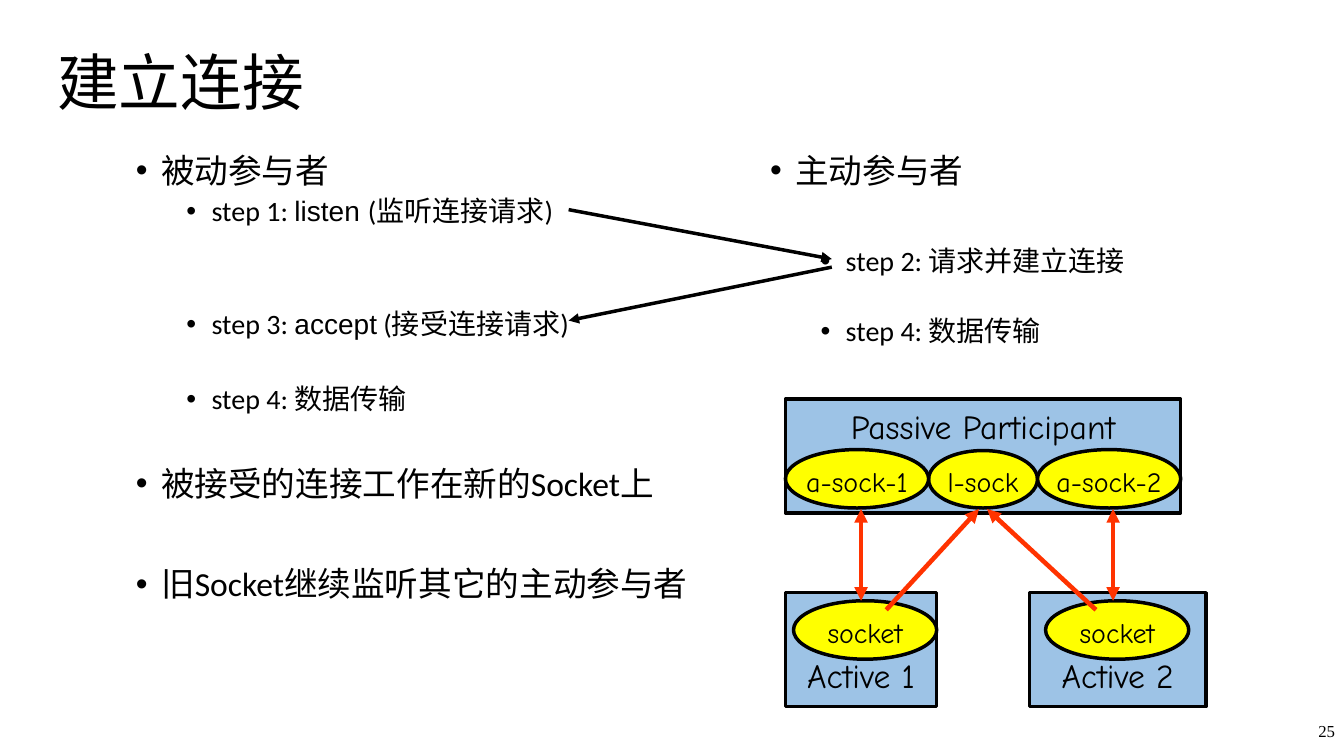
from lxml import etree
from pptx import Presentation
from pptx.dml.color import RGBColor
from pptx.enum.shapes import MSO_CONNECTOR, MSO_SHAPE
from pptx.enum.text import MSO_ANCHOR, PP_ALIGN
from pptx.oxml.ns import qn
from pptx.util import Inches, Pt

RECTANGLE, OVAL = MSO_SHAPE.RECTANGLE, MSO_SHAPE.OVAL
STRAIGHT = MSO_CONNECTOR.STRAIGHT
TOP, MIDDLE = MSO_ANCHOR.TOP, MSO_ANCHOR.MIDDLE
LEFT, CENTER, RIGHT = PP_ALIGN.LEFT, PP_ALIGN.CENTER, PP_ALIGN.RIGHT

THEME = {
    "ink": RGBColor(0x00, 0x00, 0x00),
    "host": RGBColor(0x9D, 0xC3, 0xE6),
    "socket": RGBColor(0xFF, 0xFF, 0x00),
    "link": RGBColor(0xFF, 0x33, 0x00),
    "body": "Calibri",
    "code": "Arial",
    "diagram": "Comic Neue",
    "number": "Times New Roman",
    "title_size": 44,
    "topic_size": 24,
    "step_size": 20,
    "number_size": 12,
}


def write(paragraph, text, font=THEME["body"], size=THEME["topic_size"], align=LEFT,
          spacing=None, before=0, bullet_indent=None, code=None):
    if bullet_indent is not None:
        properties = paragraph._p.get_or_add_pPr()
        properties.set("marL", str(Inches(bullet_indent)))
        properties.set("indent", str(Inches(-0.25)))
        etree.SubElement(properties, qn("a:buFont")).set("typeface", "Arial")
        etree.SubElement(properties, qn("a:buChar")).set("char", "•")
    paragraph.alignment = align
    paragraph.line_spacing = spacing
    paragraph.space_before = Pt(before)
    lead, word, rest = text.partition(code) if code else (text, "", "")
    for part, face in ((lead, font), (word, THEME["code"]), (rest, font)):
        if part:
            run = paragraph.add_run()
            run.text = part
            run.font.name = face
            run.font.size = Pt(size)
            run.font.color.rgb = THEME["ink"]


def draw_arrow(start, end, color, width, ends=("tailEnd",)):
    arrow = slide.shapes.add_connector(STRAIGHT, *map(Inches, start + end))
    arrow.line.color.rgb = color
    arrow.line.width = Pt(width)
    line = arrow.line._get_or_add_ln()
    for tip in ends:
        etree.SubElement(line, qn(f"a:{tip}")).set("type", "triangle")
    etree.SubElement(arrow._element.spPr, qn("a:effectLst"))


deck = Presentation()
deck.slide_width, deck.slide_height = Inches(13.33), Inches(7.5)
slide = deck.slides.add_slide(deck.slide_layouts[6])

captions = [
    ((0.47, 0.12, 11.5, 1.45), "建立连接",
     {"size": THEME["title_size"], "spacing": 0.9}),
    ((12.67, 7, 0.67, 0.5), "25",
     {"size": THEME["number_size"], "font": THEME["number"], "align": RIGHT}),
]
for place, text, style in captions:
    caption = slide.shapes.add_textbox(*map(Inches, place)).text_frame
    caption.word_wrap = True
    caption.vertical_anchor = MIDDLE
    write(caption.paragraphs[0], text, **style)

topic = {"size": THEME["topic_size"], "bullet_indent": 0.25, "spacing": 0.9}
step = {"size": THEME["step_size"], "bullet_indent": 0.75, "spacing": 0.9}
participants = [
    ((1.25, 1.48, 6.12, 5.33), [
        ("被动参与者", topic, 0, None),
        ("step 1: listen (监听连接请求)", step, 5, "listen "),
        ("step 3: accept (接受连接请求)", step, 59, "accept"),
        ("step 4: 数据传输", step, 32, None),
        ("被接受的连接工作在新的Socket上", topic, 37, None),
        ("旧Socket继续监听其它的主动参与者", topic, 46, None),
    ]),
    ((7.54, 1.48, 4.17, 2.5), [
        ("主动参与者", topic, 0, None),
        ("step 2: 请求并建立连接", step, 41, None),
        ("step 4: 数据传输", step, 28, None),
    ]),
]
for place, points in participants:
    column = slide.shapes.add_textbox(*map(Inches, place)).text_frame
    column.word_wrap = True
    for index, (text, style, before, code) in enumerate(points):
        point = column.add_paragraph() if index else column.paragraphs[0]
        point.level = 1 if style is step else 0
        write(point, text, before=before, code=code, **style)

draw_arrow((5.64, 2.08), (8.25, 2.57), THEME["ink"], 2.5)
draw_arrow((8.25, 2.65), (5.64, 3.18), THEME["ink"], 2.5)

host = {"kind": RECTANGLE, "fill": THEME["host"], "size": THEME["topic_size"], "anchor": TOP}
sock = {"kind": OVAL, "fill": THEME["socket"], "size": THEME["step_size"], "anchor": MIDDLE}
nodes = [
    ("Passive Participant", host, (7.79, 3.96, 3.92, 1.13), 0.07),
    ("l-sock", sock, (9.21, 4.47, 1.08, 0.57), 0.04),
    ("a-sock-1", sock, (7.79, 4.46, 1.42, 0.58), 0.04),
    ("a-sock-2", sock, (10.29, 4.46, 1.42, 0.58), 0.04),
    ("Active 1", host, (7.79, 5.88, 1.5, 1.13), 0.62),
    ("socket", sock, (7.87, 5.96, 1.42, 0.58), 0.04),
    ("Active 2", host, (10.21, 5.88, 1.75, 1.13), 0.62),
    ("socket", sock, (10.37, 5.96, 1.42, 0.58), 0.04),
]
for text, look, place, text_top in nodes:
    node = slide.shapes.add_shape(look["kind"], *map(Inches, place))
    node.shadow.inherit = False
    node.fill.solid()
    node.fill.fore_color.rgb = look["fill"]
    node.line.color.rgb = THEME["ink"]
    node.line.width = Pt(2.5)
    label = node.text_frame
    label.word_wrap = False
    label.vertical_anchor = look["anchor"]
    label.margin_left = label.margin_right = label.margin_bottom = 0
    label.margin_top = Inches(text_top)
    write(label.paragraphs[0], text, font=THEME["diagram"], size=look["size"], align=CENTER)

for start, end in (((8.79, 6.05), (9.71, 5.05)), ((10.87, 6.05), (9.79, 5.05))):
    draw_arrow(start, end, THEME["link"], 3.25)
for x in (8.54, 11.04):
    draw_arrow((x, 5.05), (x, 5.96), THEME["link"], 3.25, ends=("headEnd", "tailEnd"))

deck.save("out.pptx")
